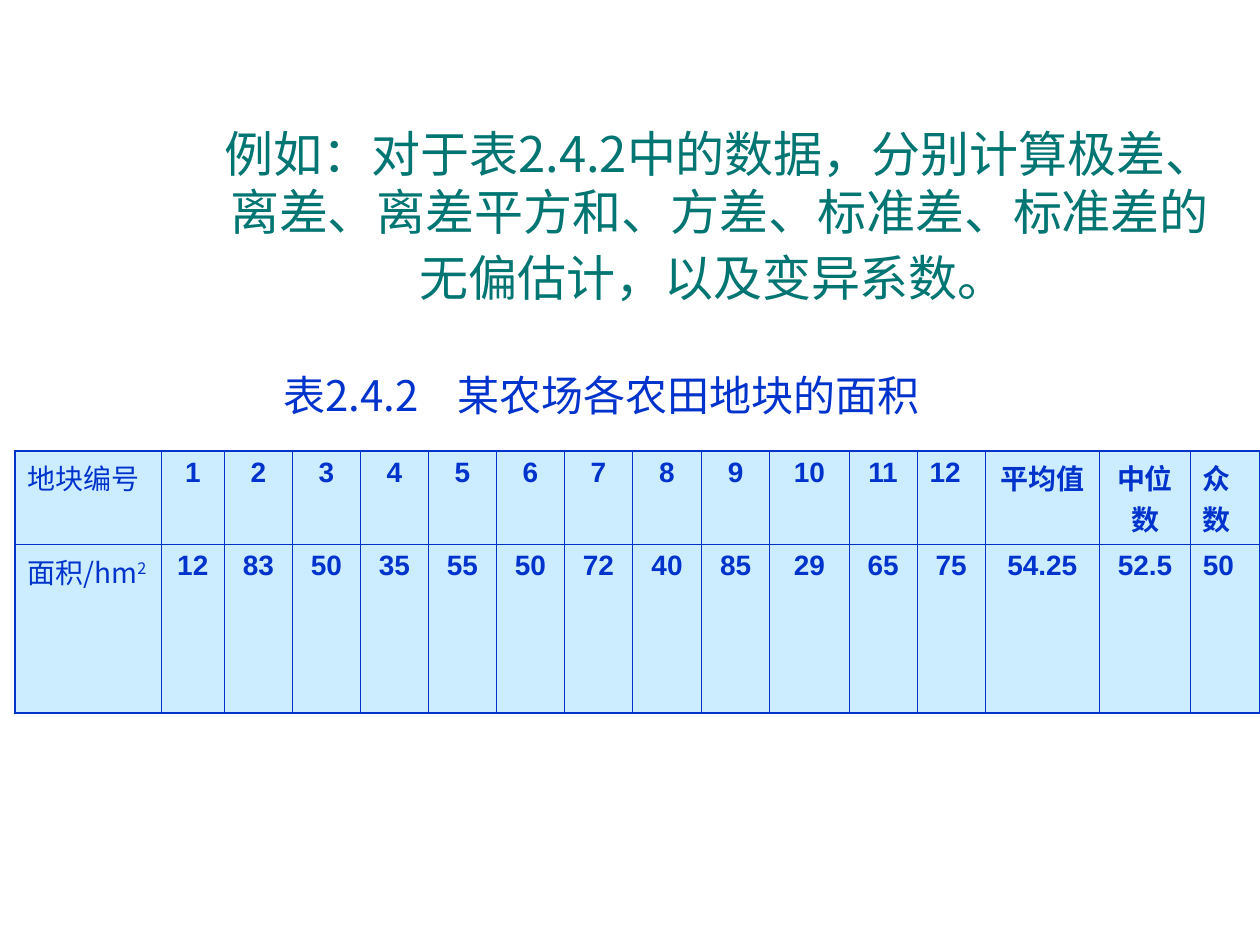
"""Builds the slide with the exercise on dispersion measures and its farmland table."""
from lxml import etree
from pptx import Presentation
from pptx.dml.color import RGBColor
from pptx.enum.text import MSO_ANCHOR, MSO_AUTO_SIZE, PP_ALIGN
from pptx.oxml.ns import qn
from pptx.util import Inches, Pt

CENTER, LEFT = PP_ALIGN.CENTER, PP_ALIGN.LEFT
MIDDLE = MSO_ANCHOR.MIDDLE
NO_AUTOFIT = MSO_AUTO_SIZE.NONE
LATIN, CJK = "Arial", "Noto Sans CJK SC"
TEAL, BLUE, PALE = "007572", "0033CC", "CCECFF"


def add_run(paragraph, text, size, typeface, color, bold=False):
    run = paragraph.add_run()
    run.text = text
    font = run.font
    font.size, font.name, font.bold = Pt(size), typeface, bold
    font.color.rgb = RGBColor.from_string(color)
    etree.SubElement(font._element, qn("a:ea"), typeface=CJK)
    return run


def add_border(cell, side, width):
    line = etree.SubElement(cell._tc.get_or_add_tcPr(), qn(f"a:ln{side}"), w=str(Pt(width)))
    fill = etree.SubElement(line, qn("a:solidFill"))
    etree.SubElement(fill, qn("a:srgbClr"), val=BLUE)


prs = Presentation()
prs.slide_width, prs.slide_height = Inches(10), Inches(7.5)
slide = prs.slides.add_slide(prs.slide_layouts[5])

task = slide.shapes.title
task.left, task.top = Inches(1.67), Inches(0.92)
task.width, task.height = Inches(8.08), Inches(1.58)
task.text_frame.auto_size = NO_AUTOFIT
task.text_frame.vertical_anchor = MIDDLE
task_line = task.text_frame.paragraphs[0]
task_line.alignment = CENTER
task_line._p.get_or_add_pPr().set("hangingPunct", "0")
add_run(task_line, "例如：", 28, LATIN, TEAL)
add_run(task_line, "对于表2.4.2中的数据，分别计算极差、离差、离差平方和、方差、标准差、"
        "标准差的无偏估计，以及变异系数。", 28, CJK, TEAL)
add_run(task_line, " ", 32, LATIN, TEAL)

plots = ["地块编号", *map(str, range(1, 13)), "平均值", "中位数", "众数"]
areas = ["面积/hm", "12", "83", "50", "35", "55", "50", "72", "40", "85",
         "29", "65", "75", "54.25", "52.5", "50"]
column_widths = [1.16, 0.5] + [0.54] * 6 + [0.55, 0.54, 0.63, 0.54, 0.54, 0.91, 0.72, 0.55]
row_heights = [0.74, 1.34]
left_aligned = {(0, 0), (0, 12), (0, 15), (1, 0), (1, 15)}
last_row, last_column = len(row_heights) - 1, len(column_widths) - 1

farmland = slide.shapes.add_table(
    len(row_heights), len(column_widths), Inches(0.12), Inches(3.58),
    Inches(sum(column_widths)), Inches(sum(row_heights))).table
for column, width in zip(farmland.columns, column_widths):
    column.width = Inches(width)
for row, height in zip(farmland.rows, row_heights):
    row.height = Inches(height)

for r, values in enumerate([plots, areas]):
    for c, value in enumerate(values):
        cell = farmland.cell(r, c)
        outer_sides = {"L": c == 0, "R": c == last_column, "T": r == 0, "B": r == last_row}
        for side, is_outer in outer_sides.items():
            add_border(cell, side, 1.08 if is_outer else 0.45)
        cell.fill.solid()
        cell.fill.fore_color.rgb = RGBColor.from_string(PALE)
        entry = cell.text_frame.paragraphs[0]
        entry.alignment = LEFT if (r, c) in left_aligned else CENTER
        add_run(entry, value, 16, LATIN if c else CJK, BLUE, bold=c > 0)

area_label = farmland.cell(1, 0).text_frame.paragraphs[0]
square = add_run(area_label, "2", 16, CJK, BLUE)
square.font._element.set("baseline", "30000")

caption = slide.shapes.add_textbox(Inches(2.15), Inches(2.88), Inches(5.25), Inches(0.5))
caption.text_frame.word_wrap = False
caption_line = caption.text_frame.paragraphs[0]
tab_list = etree.SubElement(caption_line._p.get_or_add_pPr(), qn("a:tabLst"))
etree.SubElement(tab_list, qn("a:tab"), pos=str(Inches(1.38)), algn="l")
add_run(caption_line, "表2.4.2\t某农场各农田地块的面积", 24, CJK, BLUE)

prs.save("out.pptx")
